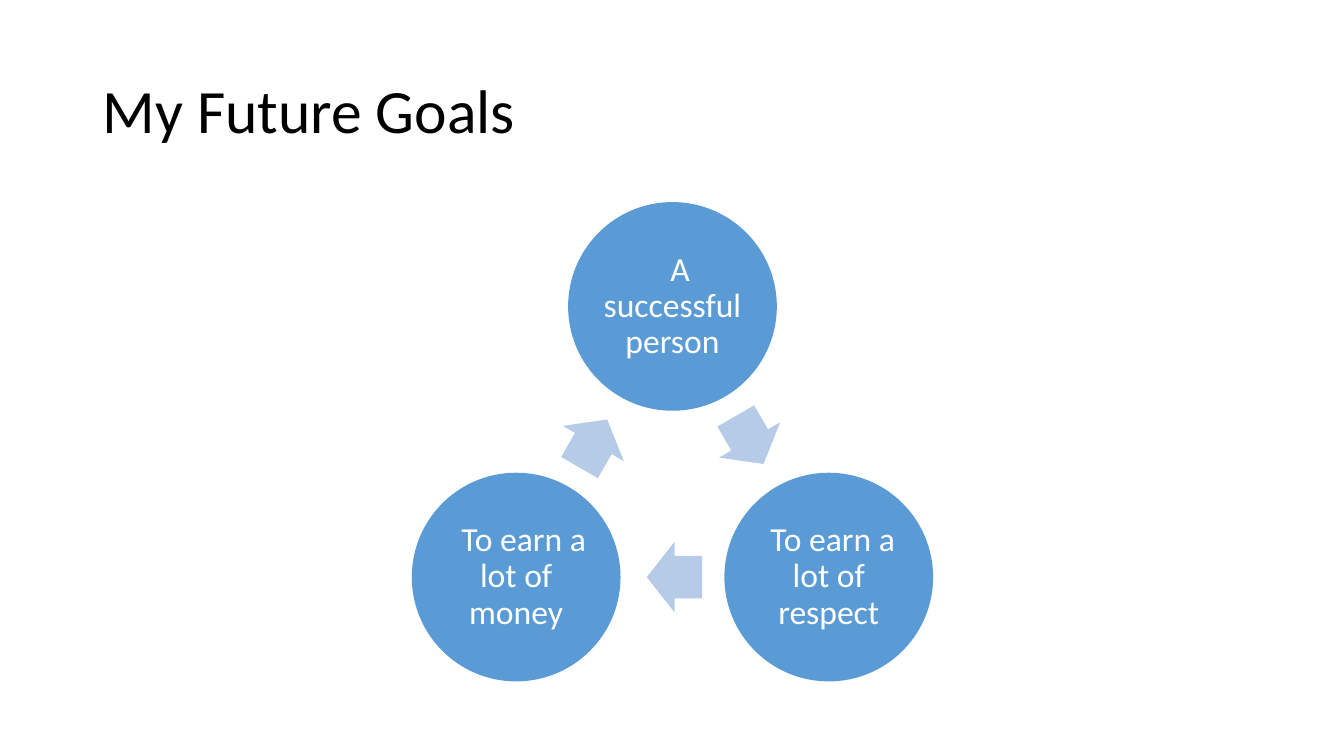
import math
import pptx
import pptx.dml.color
import pptx.enum.shapes
import pptx.enum.text
import pptx.util

Inches = pptx.util.Inches
Shapes = pptx.enum.shapes.MSO_SHAPE
Align = pptx.enum.text.PP_ALIGN


def paint(fill, color):
    fill.solid()
    fill.fore_color.rgb = pptx.dml.color.RGBColor.from_string(color)


def write(shape, text, size, color, align=Align.LEFT, inset=None, indent=0):
    frame = shape.text_frame
    frame.word_wrap = True
    frame.vertical_anchor = pptx.enum.text.MSO_ANCHOR.MIDDLE
    if inset is not None:
        frame.margin_left = frame.margin_right = Inches(inset)
        frame.margin_top = frame.margin_bottom = Inches(inset)
    paragraph = frame.paragraphs[0]
    paragraph.alignment = align
    paragraph.line_spacing = 0.9
    if indent:
        properties = paragraph._p.get_or_add_pPr()
        properties.set("marL", "0")
        properties.set("indent", str(Inches(indent)))
    run = paragraph.add_run()
    run.text = text
    run.font.name = "Calibri"
    run.font.size = pptx.util.Pt(size)
    paint(run.font.fill, color)


deck = pptx.Presentation()
deck.slide_width = Inches(13.33)
deck.slide_height = Inches(7.5)
slide = deck.slides.add_slide(deck.slide_layouts[6])

title = slide.shapes.add_textbox(Inches(0.92), Inches(0.4), Inches(11.5), Inches(1.45))
write(title, "My Future Goals", size=44, color="000000")

cycle_x, cycle_y, cycle_radius = 6.67, 4.83, 1.79
goal_size = 2.07
arrow_width, arrow_height, arrow_setback = 0.55, 0.7, 0.02
goals = [
    ("A successful person", 0.15),
    ("To earn a lot of respect", 0.08),
    ("To earn a lot of money", 0.15),
]

for index, (goal_text, indent) in enumerate(goals):
    turn = math.radians(120 * index)
    goal_x = cycle_x + cycle_radius * math.sin(turn)
    goal_y = cycle_y - cycle_radius * math.cos(turn)
    goal = slide.shapes.add_shape(
        Shapes.OVAL, Inches(goal_x - goal_size / 2), Inches(goal_y - goal_size / 2),
        Inches(goal_size), Inches(goal_size))
    paint(goal.fill, "5B9BD5")
    write(goal, goal_text, size=24, color="FFFFFF", align=Align.CENTER,
          inset=0.03, indent=indent)

    heading = 60 + 120 * index
    angle = math.radians(heading)
    arrow_x = cycle_x + cycle_radius / 2 * math.sin(angle) - arrow_setback * math.cos(angle)
    arrow_y = cycle_y - cycle_radius / 2 * math.cos(angle) - arrow_setback * math.sin(angle)
    arrow = slide.shapes.add_shape(
        Shapes.RIGHT_ARROW, Inches(arrow_x - arrow_width / 2),
        Inches(arrow_y - arrow_height / 2), Inches(arrow_width), Inches(arrow_height))
    arrow.rotation = heading
    arrow.adjustments[0] = 0.6
    arrow.adjustments[1] = 0.5
    paint(arrow.fill, "B5CBE7")

    for part in (goal, arrow):
        part.line.fill.background()
        part.shadow.inherit = False

deck.save("out.pptx")
